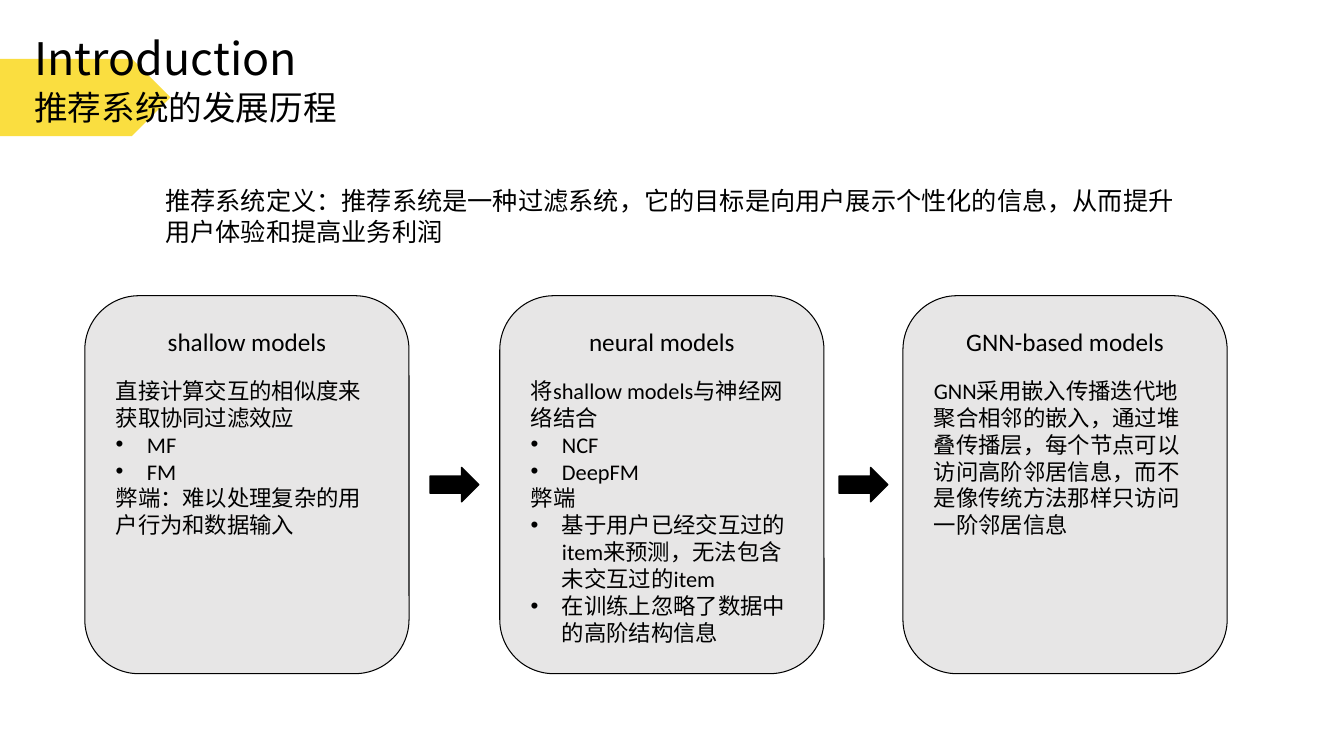
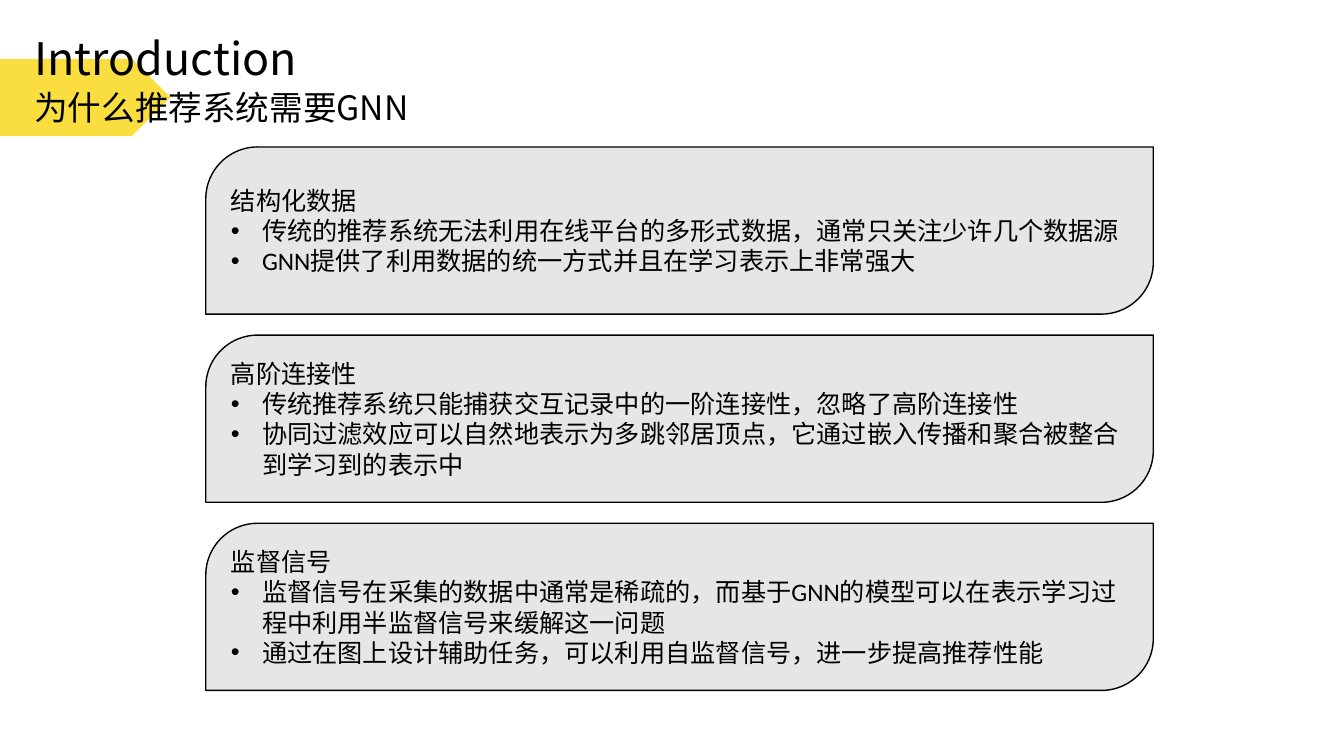
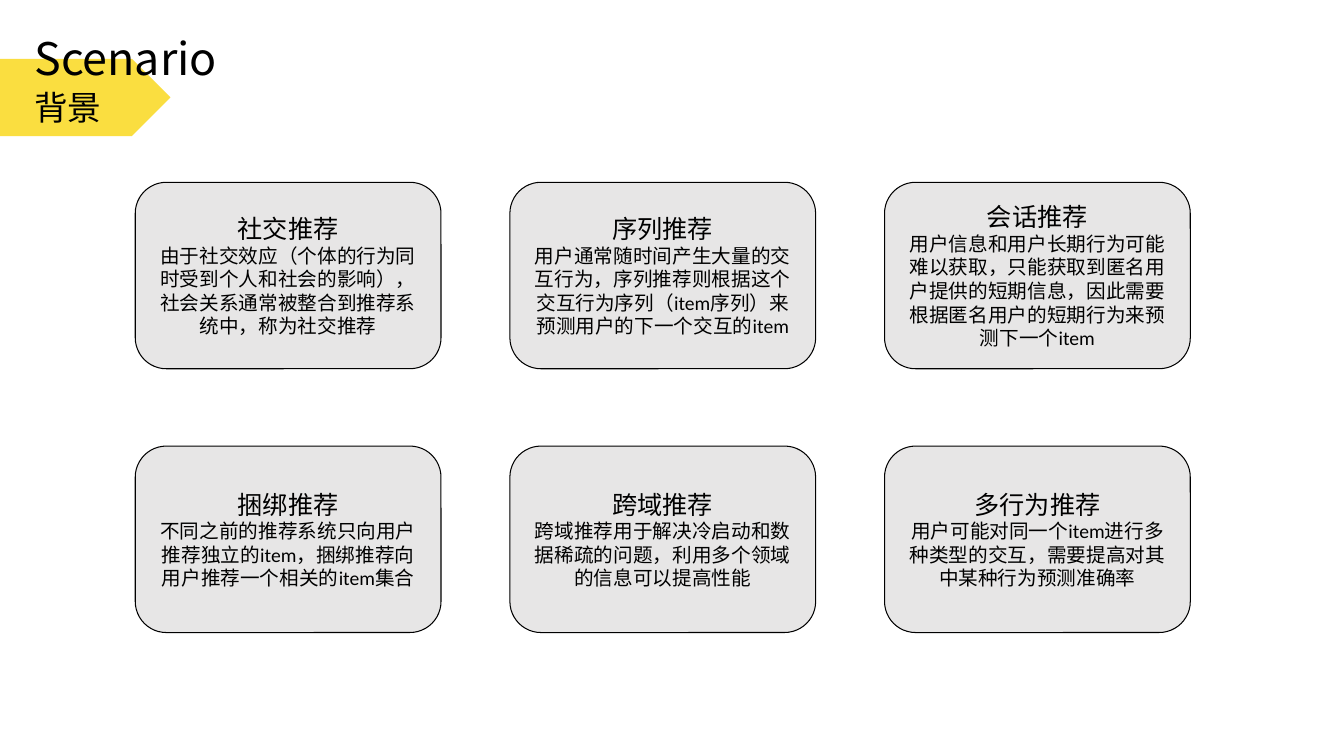
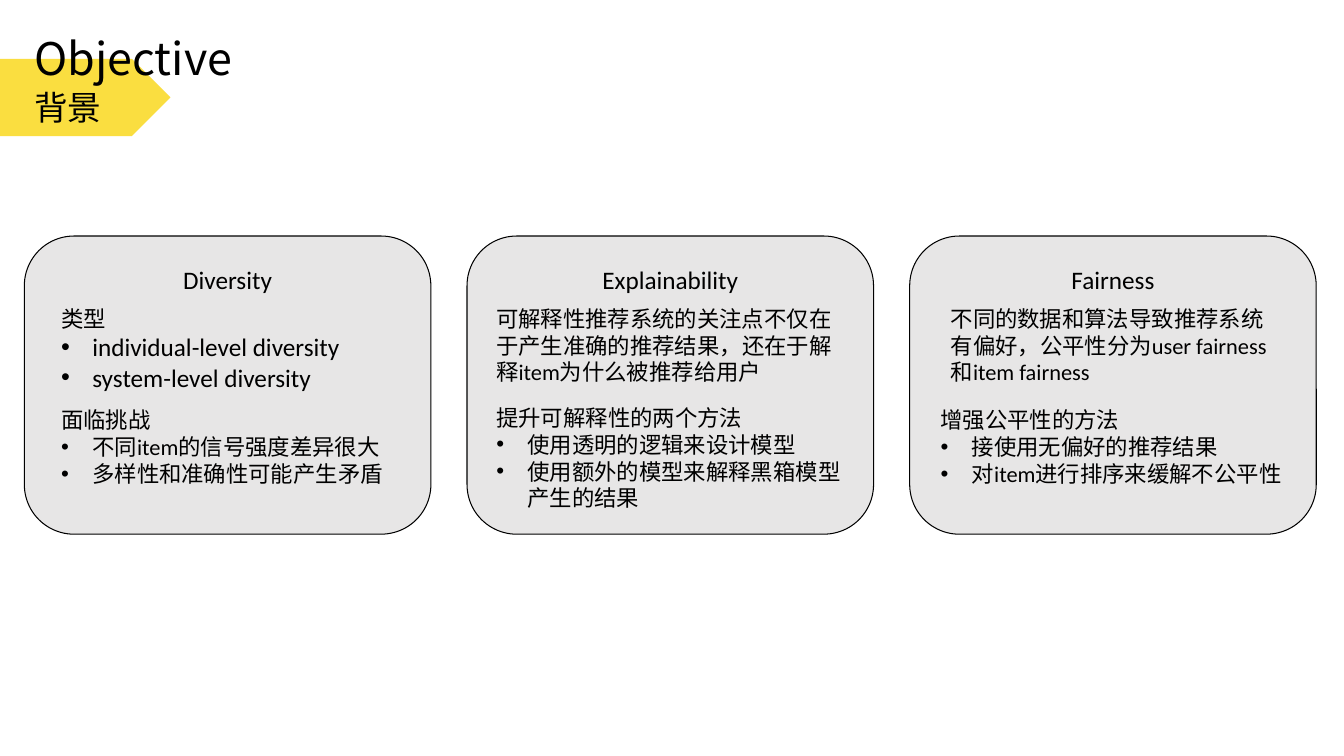
from dataclasses import dataclass

from lxml.etree import SubElement
from pptx import Presentation
from pptx.dml.color import RGBColor
from pptx.enum.shapes import MSO_SHAPE
from pptx.enum.text import MSO_ANCHOR, MSO_AUTO_SIZE, PP_ALIGN
from pptx.oxml.ns import qn
from pptx.util import Inches, Pt

SLIDE_WIDTH, SLIDE_HEIGHT = Inches(13.33), Inches(7.5)
COLUMNS, ROWS = 160, 90
COLORS = {"ink": "000000", "card": "E7E6E6", "accent": "FADE40"}
TITLE_FONT, BODY_FONT = "Noto Sans CJK SC", "Calibri"
BULLET_INDENT = Inches(0.31)


@dataclass
class Box:
    """A rectangle in grid columns and rows."""
    left: float
    top: float
    width: float
    height: float

    def strip_inside(self, inset, top, height):
        """Return a horizontally centred strip, inset from both sides."""
        return Box(self.left + inset, self.top + top, self.width - 2 * inset, height)

    def lengths(self):
        """Return left, top, width and height as slide lengths."""
        column, row = SLIDE_WIDTH / COLUMNS, SLIDE_HEIGHT / ROWS
        return [round(value) for value in (self.left * column, self.top * row,
                                           self.width * column, self.height * row)]


@dataclass
class Line:
    """One paragraph of text."""
    text: str
    size: int = 16
    bulleted: bool = False


def bullets(*texts, size=16):
    """Return bulleted lines of one size."""
    return [Line(text, size, True) for text in texts]


def color(name):
    """Look up a shared colour."""
    return RGBColor.from_string(COLORS[name])


def write(text_frame, lines, font_name=BODY_FONT, alignment=PP_ALIGN.LEFT):
    """Fill a text frame with formatted lines."""
    text_frame.word_wrap = True
    for index, line in enumerate(lines):
        paragraph = text_frame.add_paragraph() if index else text_frame.paragraphs[0]
        paragraph.text = line.text
        paragraph.alignment = alignment
        font = paragraph.runs[0].font
        font.name, font.size = font_name, Pt(line.size)
        font.color.rgb = color("ink")
        SubElement(font._element, qn("a:ea")).set("typeface", font_name)
        if line.bulleted:
            properties = paragraph._p.get_or_add_pPr()
            properties.set("marL", str(BULLET_INDENT))
            properties.set("indent", str(-BULLET_INDENT))
            SubElement(properties, qn("a:buFont")).set("typeface", "Arial")
            SubElement(properties, qn("a:buChar")).set("char", "•")


def add_text(slide, box, lines, **style):
    """Add a text box that grows with its text."""
    text_frame = slide.shapes.add_textbox(*box.lengths()).text_frame
    write(text_frame, lines, **style)
    text_frame.auto_size = MSO_AUTO_SIZE.SHAPE_TO_FIT_TEXT


def add_shape(slide, kind, box, fill, line_width=0):
    """Add a flat preset shape, outlined if a line width is given."""
    shape = slide.shapes.add_shape(kind, *box.lengths())
    shape.shadow.inherit = False
    shape.fill.solid()
    shape.fill.fore_color.rgb = color(fill)
    if line_width:
        shape.line.color.rgb = color("ink")
        shape.line.width = Pt(line_width)
    else:
        shape.line.fill.background()
    return shape


def add_card(slide, box, lines=(), kind=MSO_SHAPE.ROUNDED_RECTANGLE, line_width=0.75,
             alignment=PP_ALIGN.CENTER):
    """Add a grey card with text centred in its height."""
    card = add_shape(slide, kind, box, "card", line_width)
    card.text_frame.vertical_anchor = MSO_ANCHOR.MIDDLE
    write(card.text_frame, lines, alignment=alignment)
    return card


def add_headed_card(slide, box, heading, heading_top, sections):
    """Add a card with a heading and sections given as inset, top, lines."""
    add_card(slide, box)
    add_text(slide, box.strip_inside(0, heading_top, 4.8), [Line(heading, 18)],
             alignment=PP_ALIGN.CENTER)
    for inset, top, lines in sections:
        add_text(slide, box.strip_inside(inset, top, 11), lines)


def add_titled_slide(presentation, title, subtitle):
    """Add a blank slide with the accent tag, title and subtitle."""
    slide = presentation.slides.add_slide(presentation.slide_layouts[6])
    add_shape(slide, MSO_SHAPE.PENTAGON, Box(0, 7, 20.3, 9.2), "accent")
    add_text(slide, Box(2.9, 3.1, 97.4, 7.7), [Line(title, 32)], font_name=TITLE_FONT)
    add_text(slide, Box(2.9, 9.8, 48.4, 6), [Line(subtitle, 24)], font_name=TITLE_FONT)
    return slide


def build_history(slide, box, definition, models):
    """Place a definition above model cards joined by arrows."""
    add_text(slide, Box(18.5, 21.5, 123.1, 8.5), [Line(text, 18) for text in definition])
    card_width, arrow_width, arrow_height = 38.6, 5.8, 4.1
    lefts = [box.left, box.left + 49.4, box.left + box.width - card_width]
    for left, (heading, lines) in zip(lefts, models):
        add_headed_card(slide, Box(left, box.top, card_width, box.height),
                        heading, 3, [(2.5, 9.1, lines)])
    for left, following in zip(lefts, lefts[1:]):
        center = (left + card_width + following) / 2
        arrow = Box(center - arrow_width / 2, box.top + box.height / 2 - arrow_height / 2,
                    arrow_width, arrow_height)
        add_shape(slide, MSO_SHAPE.RIGHT_ARROW, arrow, "ink", 1)


def build_reasons(slide, box, reasons):
    """Stack one full-width card for each reason."""
    gap = 2.5
    height = (box.height - gap * (len(reasons) - 1)) / len(reasons)
    for index, (heading, *points) in enumerate(reasons):
        card_box = Box(box.left, box.top + index * (height + gap), box.width, height)
        card = add_card(slide, card_box, [Line(heading, 18)] + bullets(*points, size=18),
                        MSO_SHAPE.ROUND_2_DIAG_RECTANGLE, 1, PP_ALIGN.LEFT)
        card.adjustments[0] = 0.31


def build_scenarios(slide, box, scenarios):
    """Lay scenario cards on a grid of three columns and two rows."""
    width, height = 36.4, 22.2
    column_step, row_step = (box.width - width) / 2, box.height - height
    for index, (heading, text) in enumerate(scenarios):
        row, column = divmod(index, 3)
        add_card(slide, Box(box.left + column * column_step, box.top + row * row_step,
                            width, height), [Line(heading, 18), Line(text, 14)])


def build_objectives(slide, box, objectives):
    """Place objective cards side by side."""
    gap = 4.3
    width = (box.width - gap * (len(objectives) - 1)) / len(objectives)
    for index, (heading, sections) in enumerate(objectives):
        add_headed_card(slide, Box(box.left + index * (width + gap), box.top,
                                   width, box.height), heading, 2.8, sections)


DEFINITION = ["推荐系统定义：推荐系统是一种过滤系统，它的目标是向用户展示个性化的信息，从而提升",
              "用户体验和提高业务利润"]
MODELS = [
    ("shallow models", [Line("直接计算交互的相似度来获取协同过滤效应"),
                        *bullets("MF", "FM"),
                        Line("弊端：难以处理复杂的用户行为和数据输入")]),
    ("neural models", [Line("将shallow models与神经网络结合"),
                       *bullets("NCF", "DeepFM"),
                       Line("弊端"),
                       *bullets("基于用户已经交互过的item来预测，无法包含未交互过的item",
                                "在训练上忽略了数据中的高阶结构信息")]),
    ("GNN-based models", [Line("GNN采用嵌入传播迭代地聚合相邻的嵌入，通过堆叠传播层，每个节点可以"),
                          Line("访问高阶邻居信息，而不是像传统方法那样只访问一阶邻居信息")]),
]
REASONS = [
    ("结构化数据",
     "传统的推荐系统无法利用在线平台的多形式数据，通常只关注少许几个数据源",
     "GNN提供了利用数据的统一方式并且在学习表示上非常强大"),
    ("高阶连接性",
     "传统推荐系统只能捕获交互记录中的一阶连接性，忽略了高阶连接性",
     "协同过滤效应可以自然地表示为多跳邻居顶点，它通过嵌入传播和聚合被整合到学习到的表示中"),
    ("监督信号",
     "监督信号在采集的数据中通常是稀疏的，而基于GNN的模型可以在表示学习过程中利用半监督信号来缓解这一问题",
     "通过在图上设计辅助任务，可以利用自监督信号，进一步提高推荐性能"),
]
SCENARIOS = [
    ("社交推荐", "由于社交效应（个体的行为同时受到个人和社会的影响），社会关系通常被整合到推荐系统中，称为社交推荐"),
    ("序列推荐", "用户通常随时间产生大量的交互行为，序列推荐则根据这个交互行为序列（item序列）来预测用户的下一个交互的item"),
    ("会话推荐", "用户信息和用户长期行为可能难以获取，只能获取到匿名用户提供的短期信息，因此需要根据匿名用户的短期行为来预测下一个item"),
    ("捆绑推荐", "不同之前的推荐系统只向用户推荐独立的item，捆绑推荐向用户推荐一个相关的item集合"),
    ("跨域推荐", "跨域推荐用于解决冷启动和数据稀疏的问题，利用多个领域的信息可以提高性能"),
    ("多行为推荐", "用户可能对同一个item进行多种类型的交互，需要提高对其中某种行为预测准确率"),
]
OBJECTIVES = [
    ("Diversity", [
        (3.2, 7.6, [Line("类型"), *bullets("individual-level diversity",
                                         "system-level diversity", size=18)]),
        (3.2, 19.7, [Line("面临挑战"), *bullets("不同item的信号强度差异很大",
                                            "多样性和准确性可能产生矛盾")])]),
    ("Explainability", [
        (2.3, 7.6, [Line("可解释性推荐系统的关注点不仅在于产生准确的推荐结果，还在于解释item为什么被推荐给用户")]),
        (2.3, 19.4, [Line("提升可解释性的两个方法"), *bullets("使用透明的逻辑来设计模型",
                                                   "使用额外的模型来解释黑箱模型产生的结果")])]),
    ("Fairness", [
        (3.7, 7.6, [Line("不同的数据和算法导致推荐系统有偏好，公平性分为user fairness和item fairness")]),
        (2.5, 19.7, [Line("增强公平性的方法"), *bullets("接使用无偏好的推荐结果",
                                                "对item进行排序来缓解不公平性")])]),
]


def main():
    """Build and save the presentation."""
    presentation = Presentation()
    presentation.slide_width, presentation.slide_height = SLIDE_WIDTH, SLIDE_HEIGHT
    build_history(add_titled_slide(presentation, "Introduction", "推荐系统的发展历程"),
                  Box(10.1, 35.2, 136, 45), DEFINITION, MODELS)
    build_reasons(add_titled_slide(presentation, "Introduction", "为什么推荐系统需要GNN"),
                  Box(24.5, 17.5, 112.8, 64.7), REASONS)
    build_scenarios(add_titled_slide(presentation, "Scenario", "背景"),
                    Box(16.1, 21.7, 125.6, 53.6), SCENARIOS)
    build_objectives(add_titled_slide(presentation, "Objective", "背景"),
                     Box(2.9, 28.1, 153.8, 35.5), OBJECTIVES)
    presentation.save("out.pptx")


if __name__ == "__main__":
    main()
